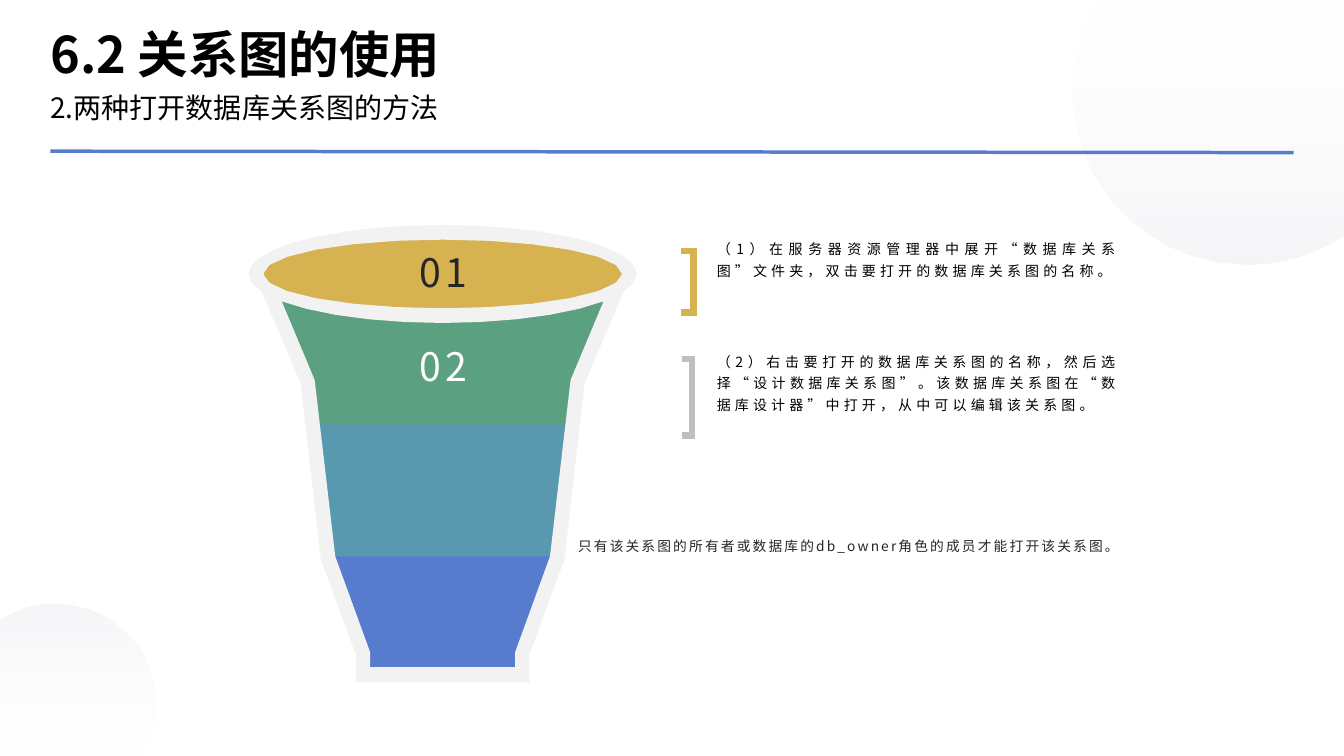
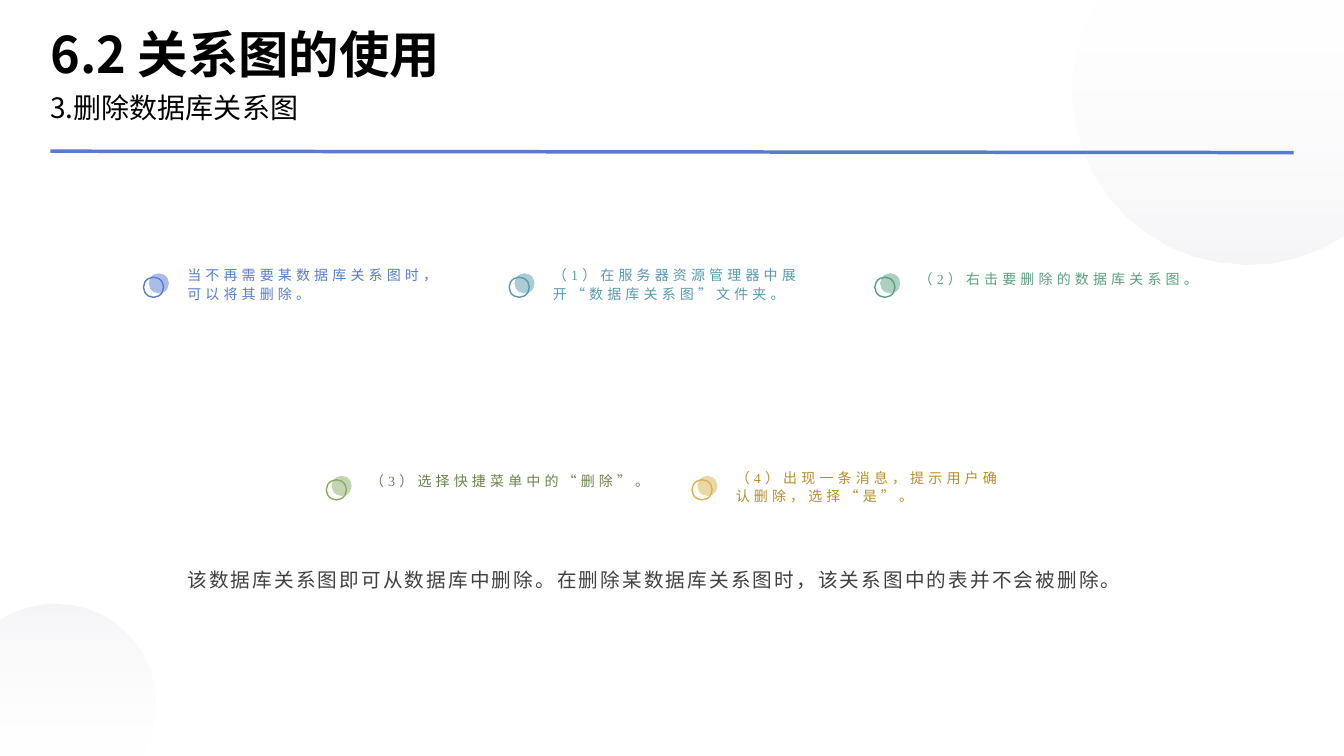
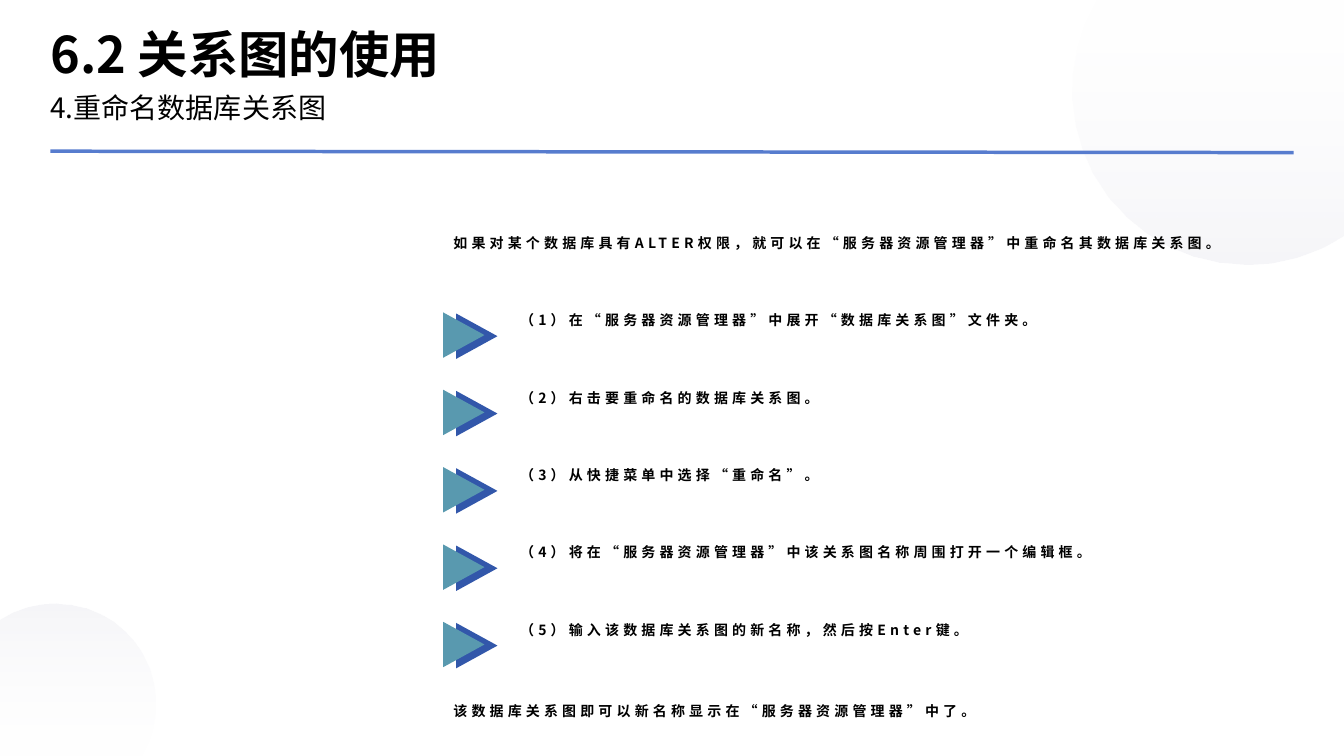
"""Build three slides about working with database diagrams."""
from math import cos, radians, sin

from lxml.etree import SubElement
from pptx import Presentation
from pptx.dml.color import RGBColor
from pptx.enum.shapes import MSO_CONNECTOR, MSO_SHAPE
from pptx.enum.text import MSO_ANCHOR, PP_ALIGN
from pptx.oxml.ns import qn
from pptx.util import Pt

WIDTH, HEIGHT = 960, 540
SANS, SERIF = "Noto Sans CJK SC", "Times New Roman"
BLACK, WHITE, DARK = "000000", "FFFFFF", "262626"
BLUE, TEAL, GREEN, GOLD = "577CCE", "5999AF", "5BA080", "D6B250"
NAVY, OLIVE, RIM, GREY = "3257AA", "8BAA69", "F2F2F2", "BFBFBF"


def color(value):
    """Turn a hex string into a colour."""
    return RGBColor.from_string(value)


def arc(x, y, radius_x, radius_y, start, end, count):
    """List points along an ellipse, clockwise from the right, in degrees."""
    angles = [radians(start + (end - start) * i / count) for i in range(count + 1)]
    return [(x + radius_x * cos(a), y + radius_y * sin(a)) for a in angles]


def mirrored(middle, sides):
    """Go down the right side and back up the left side of a symmetric outline."""
    right = [(middle + half, y) for half, y in sides]
    left = [(middle - half, y) for half, y in reversed(sides)]
    return right + left


class Deck:
    """Hold the shared style and the current page."""

    def __init__(self):
        """Start an empty widescreen deck."""
        self.deck = Presentation()
        self.deck.slide_width, self.deck.slide_height = Pt(WIDTH), Pt(HEIGHT)
        self.page = None

    def start(self, subtitle):
        """Add a page with its corner circles, rule and titles."""
        self.page = self.deck.slides.add_slide(self.deck.slide_layouts[6])
        self.corner_circle(890.6, 64.7, 124.4, 56.1, 211.3, (WIDTH, 0), 270)
        self.corner_circle(39.8, 502.6, 71.3, 236.1, 391.6, (0, HEIGHT), 90)
        self.rule(36, 108, 924, 109)
        self.text("6.2 关系图的使用", 36, 12, 888, 48, size=36, bold=True,
                  anchor=MSO_ANCHOR.BOTTOM, inset=False)
        self.text(subtitle, 36, 60, 888, 36, size=20, spacing=1.2, inset=False)

    def paint(self, shape, fill=None, line=None, weight=1, opacity=None):
        """Set the fill and the line of a shape."""
        shape.shadow.inherit = False
        if fill:
            shape.fill.solid()
            shape.fill.fore_color.rgb = color(fill)
        else:
            shape.fill.background()
        if opacity:
            self.fade(shape, [opacity])
        if line:
            shape.line.color.rgb = color(line)
            shape.line.width = Pt(weight)
        else:
            shape.line.fill.background()
        return shape

    def fade(self, shape, opacities):
        """Give each fill colour of a shape its opacity in percent."""
        tones = shape.element.spPr.iter(qn("a:srgbClr"))
        for tone, opacity in zip(list(tones), opacities):
            SubElement(tone, qn("a:alpha")).set("val", str(opacity * 1000))

    def shape(self, kind, x, y, width, height, **style):
        """Add a preset shape."""
        shape = self.page.shapes.add_shape(kind, Pt(x), Pt(y), Pt(width), Pt(height))
        return self.paint(shape, **style)

    def outline(self, *contours, **style):
        """Add a closed shape; later contours are holes."""
        builder = None
        for contour in contours:
            points = [(Pt(x), Pt(y)) for x, y in contour]
            if builder is None:
                builder = self.page.shapes.build_freeform(*points[0])
            else:
                builder.move_to(*points[0])
            builder.add_line_segments(points[1:], close=True)
        return self.paint(builder.convert_to_shape(), **style)

    def corner_circle(self, x, y, radius, start, end, corner, angle):
        """Add a faint gradient circle cut off at a page corner."""
        circle = self.outline(arc(x, y, radius, radius, start, end, 18) + [corner])
        circle.fill.gradient()
        circle.fill.gradient_angle = angle
        for stop, position, tone in zip(circle.fill.gradient_stops, (0, 1), (WHITE, "D8D8E4")):
            stop.position = position
            stop.color.rgb = color(tone)
        self.fade(circle, [10, 24])

    def rule(self, x1, y1, x2, y2):
        """Add the line below the titles."""
        line = self.page.shapes.add_connector(
            MSO_CONNECTOR.STRAIGHT, Pt(x1), Pt(y1), Pt(x2), Pt(y2))
        line.line.color.rgb = color(BLUE)
        line.line.width = Pt(2.5)
        SubElement(line.element.spPr, qn("a:effectLst"))

    def text(self, words, x, y, width, height, size=10, tone=BLACK, font=SANS, bold=False,
             tracking=0, spacing=1.0, align=PP_ALIGN.LEFT, anchor=MSO_ANCHOR.TOP, inset=True):
        """Add a text box with one paragraph."""
        box = self.page.shapes.add_textbox(Pt(x), Pt(y), Pt(width), Pt(height))
        frame = box.text_frame
        paragraph = frame.paragraphs[0]
        span = paragraph.add_run()
        span.text = words
        span.font.color.rgb = color(tone)
        formats = {
            frame: {"word_wrap": True, "vertical_anchor": anchor},
            paragraph: {"alignment": align, "line_spacing": spacing},
            span.font: {"size": Pt(size), "name": font, "bold": bold},
        }
        if not inset:
            sides = ("left", "top", "right", "bottom")
            formats[frame].update({f"margin_{side}": 0 for side in sides})
        for target, values in formats.items():
            for name, value in values.items():
                setattr(target, name, value)
        properties = span.font._element
        SubElement(properties, qn("a:ea")).set("typeface", SANS)
        if tracking:
            properties.set("spc", str(int(tracking * 100)))

    def bracket(self, x, y, width, height, tone):
        """Add a right bracket with sharp corners."""
        shape = self.shape(MSO_SHAPE.RIGHT_BRACKET, x, y, width, height, line=tone, weight=4.5)
        shape.adjustments[0] = 0
        stroke = shape.element.spPr.find(qn("a:ln"))
        SubElement(stroke, qn("a:miter")).set("lim", "800000")

    def dots(self, x, y, tone):
        """Add a ring over a half-transparent dot."""
        self.shape(MSO_SHAPE.OVAL, x + 3.8, y, 14.4, 14.4, fill=tone, opacity=50)
        self.shape(MSO_SHAPE.OVAL, x, y + 2.8, 14.4, 14.4, line=tone)

    def arrow(self, x, y):
        """Add a pair of overlapping triangles pointing right."""
        for shift, drop, tone in ((9.3, 0.8, NAVY), (0, 0, TEAL)):
            triangle = self.shape(MSO_SHAPE.ISOSCELES_TRIANGLE, x + shift, y + drop,
                                  32.4, 29.5, fill=tone)
            triangle.rotation = 90


def add_opening(deck):
    """Show the two ways to open a diagram beside a cup."""
    deck.start("2.两种打开数据库关系图的方法")
    middle, rim_y = 316.2, 195.7
    bands = (
        (GREEN, [(116.5, 212.4), (92, 273.6), (88, 310.3)]),
        (BLUE, [(81, 387.4), (78.5, 404), (53.3, 467.3), (53.3, 478)]),
        (TEAL, [(89, 303.1), (80.3, 397.4)]),
    )
    for tone, sides in bands:
        deck.outline(mirrored(middle, sides), fill=tone)
    deck.shape(MSO_SHAPE.OVAL, 188, 168.5, 256.4, 52.6, fill=GOLD)
    cup = arc(middle, rim_y, 138.6, 35, 159, 381, 22) + mirrored(
        middle, [(101.5, 273.6), (87, 399.6), (62, 467.3), (62, 487.4)])
    opening = arc(middle, rim_y, 128.2, 24.5, 0, 345, 23)
    body = arc(middle, rim_y, 138.6, 35, 146, 34, 10) + mirrored(
        middle, [(91.4, 271.4), (76.7, 397.4), (51.8, 465.8), (51.8, 476.6)])
    deck.outline(cup, opening, body, fill=RIM)
    for number, y, tone in (("01", 177.1, DARK), ("02", 244.1, WHITE)):
        deck.text(number, 291.6, y, 49.7, 34.6, size=28, tone=tone, tracking=3,
                  align=PP_ALIGN.CENTER, anchor=MSO_ANCHOR.MIDDLE, inset=False)
    deck.bracket(486.7, 179.3, 8.6, 43.9, GOLD)
    deck.bracket(487, 256.3, 7.2, 54.7, GREY)
    methods = (
        (164.5, "（1）在服务器资源管理器中展开“数据库关系图”文件夹，双击要打开的数据库关系图的名称。"),
        (245.1, "（2）右击要打开的数据库关系图的名称，然后选择“设计数据库关系图”。"
                "该数据库关系图在“数据库设计器”中打开，从中可以编辑该关系图。"),
    )
    for y, words in methods:
        deck.text(words, 504.9, y, 301.7, 67, tracking=3, spacing=1.3, align=PP_ALIGN.JUSTIFY)
    deck.text("只有该关系图的所有者或数据库的db_owner角色的成员才能打开该关系图。",
              405.8, 375.8, 401, 44, size=9.8, tone=DARK, tracking=1.5, spacing=1.4)


def add_deleting(deck):
    """Show the steps for deleting a diagram in two staggered rows."""
    deck.start("3.删除数据库关系图")
    pitch = 261.2
    steps = (
        (0, 0, BLUE, BLUE, 1.1, "当不再需要某数据库关系图时，可以将其删除。"),
        (1, 0, TEAL, TEAL, 1.1, "（1）在服务器资源管理器中展开“数据库关系图”文件夹。"),
        (2, 0, GREEN, GREEN, 1.3, "（2）右击要删除的数据库关系图。"),
        (0.5, 1, OLIVE, "68844B", 1.3, "（3）选择快捷菜单中的“删除”。"),
        (1.5, 1, GOLD, "B38E2A", 1.1, "（4）出现一条消息，提示用户确认删除，选择“是”。"),
    )
    for column, row, dot_tone, tone, spacing, words in steps:
        x, y = 126.7 + column * pitch, 185.8 + row * 144.7
        deck.text(words, x, y, 208, 36, tone=tone, font=SERIF, tracking=3, spacing=spacing)
        deck.dots(x - 24.2, y + 9.4, dot_tone)
    deck.text("该数据库关系图即可从数据库中删除。在删除某数据库关系图时，该关系图中的表并不会被删除。",
              126.7, 398.9, 710.6, 40.3, size=14, tone="404040", tracking=1.5, spacing=1.2)


def add_renaming(deck):
    """Show the steps for renaming a diagram as a list with arrows."""
    deck.start("4.重命名数据库关系图")
    style = {"bold": True, "tracking": 3, "spacing": 1.2, "anchor": MSO_ANCHOR.MIDDLE}
    deck.text("如果对某个数据库具有ALTER权限，就可以在“服务器资源管理器”中重命名其数据库关系图。",
              316.8, 160.6, 575.3, 23, **style)
    steps = (
        "（1）在“服务器资源管理器”中展开“数据库关系图”文件夹。",
        "（2）右击要重命名的数据库关系图。",
        "（3）从快捷菜单中选择“重命名”。",
        "（4）将在“服务器资源管理器”中该关系图名称周围打开一个编辑框。",
        "（5）输入该数据库关系图的新名称，然后按Enter键。",
    )
    for index, words in enumerate(steps):
        y = 216 + index * 55.25
        deck.arrow(315.1, y + 8.6)
        deck.text(words, 364.5, y, 520, 23, **style)
    deck.text("该数据库关系图即可以新名称显示在“服务器资源管理器”中了。",
              316.8, 493.2, 566.6, 27.4, **style)


def main():
    """Build and save the deck."""
    deck = Deck()
    for add_page in (add_opening, add_deleting, add_renaming):
        add_page(deck)
    deck.deck.save("out.pptx")


if __name__ == "__main__":
    main()
